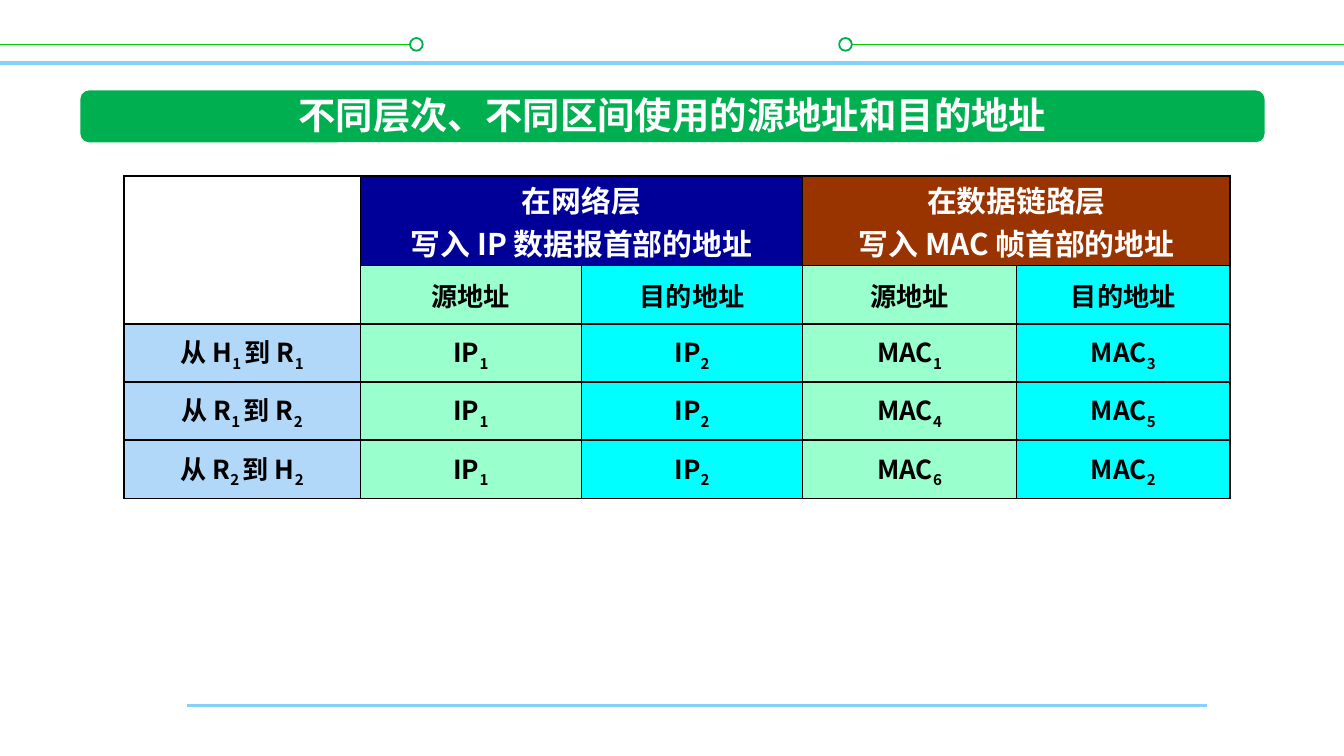
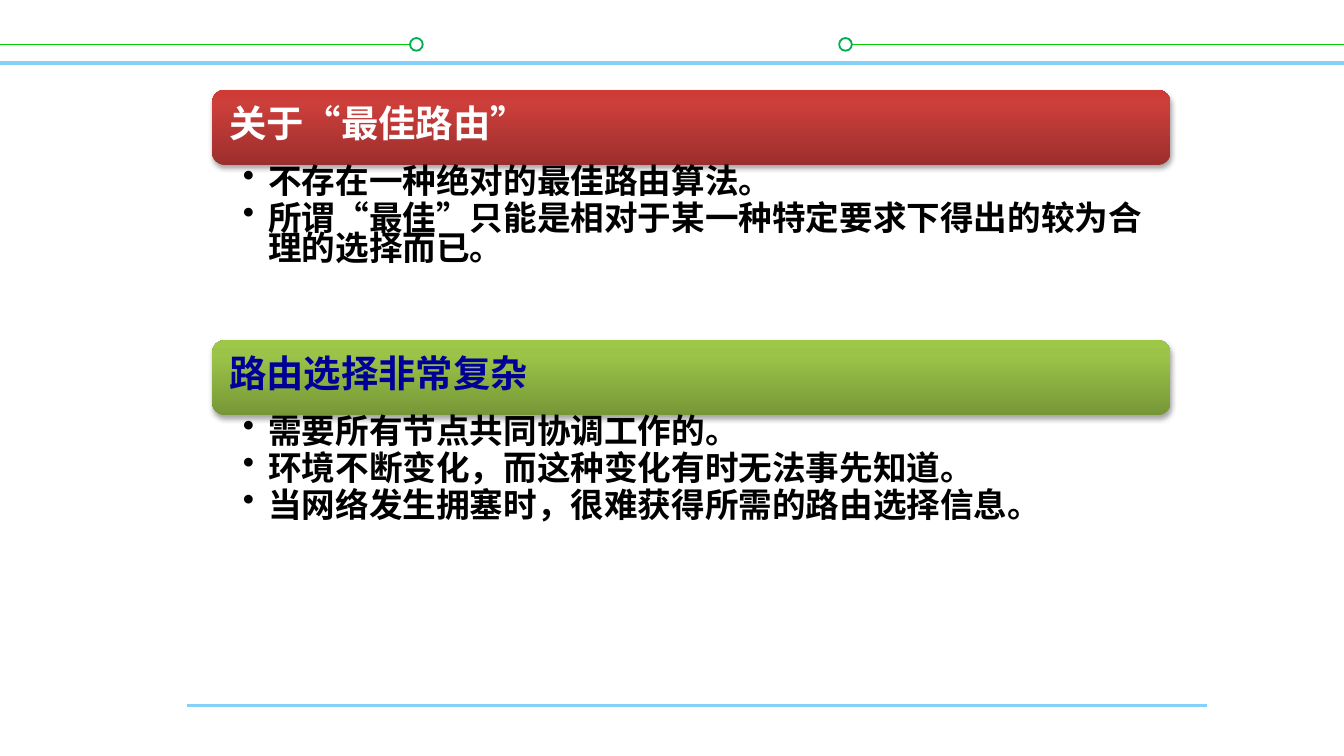
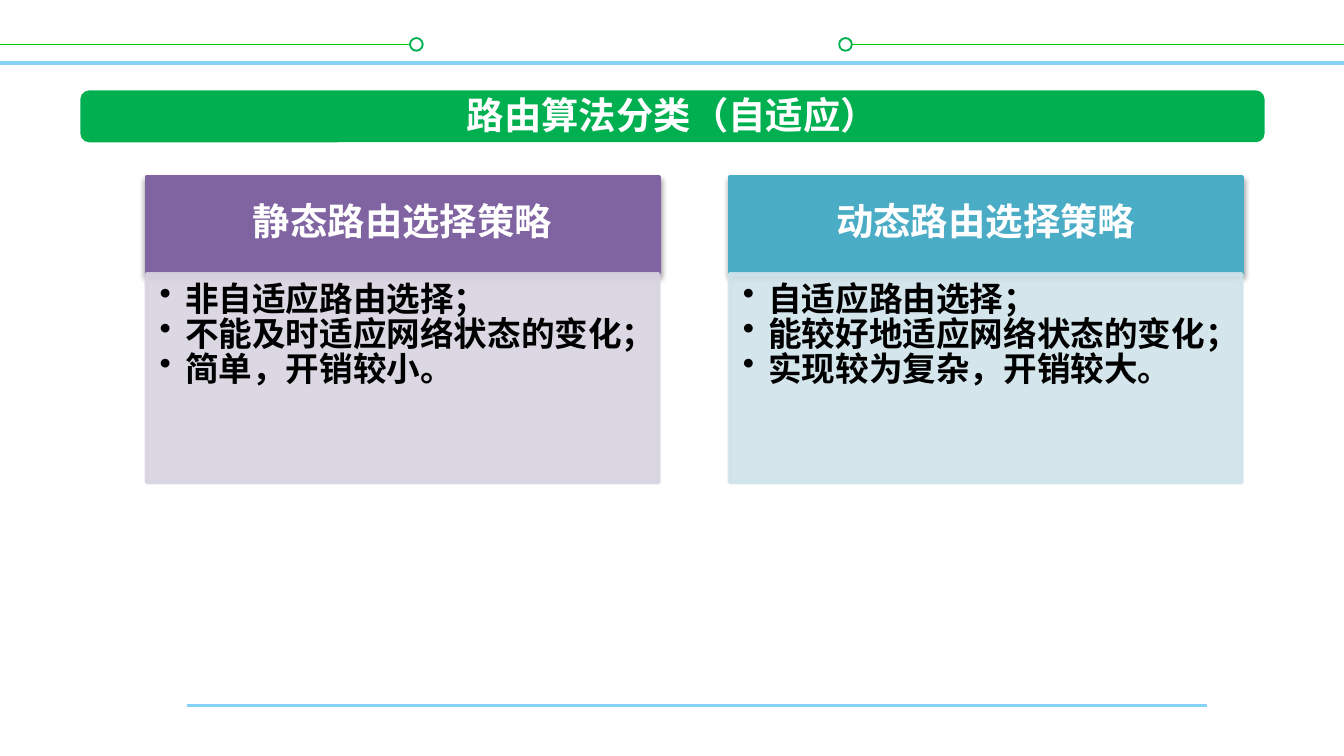
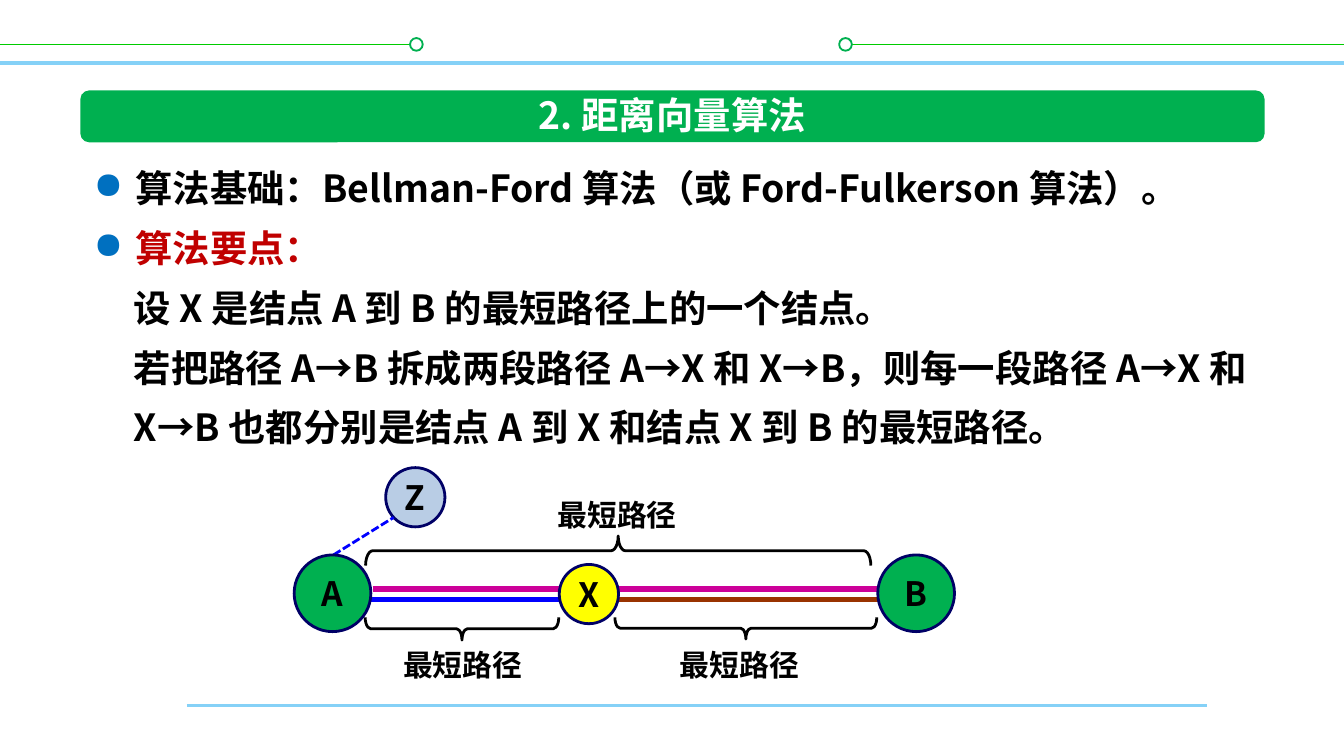
import copy
import dataclasses

import lxml.etree
import pptx
import pptx.dml.color
import pptx.enum.dml
import pptx.enum.shapes
import pptx.enum.text
import pptx.oxml.ns
import pptx.util

Cm = pptx.util.Cm
Pt = pptx.util.Pt
qn = pptx.oxml.ns.qn
SHAPES = pptx.enum.shapes.MSO_SHAPE
ALIGN = pptx.enum.text.PP_ALIGN
ANCHOR = pptx.enum.text.MSO_ANCHOR


@dataclasses.dataclass(frozen=True)
class Theme:
    font: str = "Noto Sans CJK SC"
    title_size: int = 20
    head_size: int = 16
    bullet_size: int = 18
    cell_size: int = 14
    tight: float = 0.75
    white: str = "FFFFFF"
    black: str = "000000"
    green: str = "00B050"
    lime: str = "00CC00"
    sky: str = "85D1F7"
    navy: str = "000099"
    outline: str = "000066"
    brown: str = "993300"
    mint: str = "99FFCC"
    cyan: str = "00FFFF"
    pale_blue: str = "B1D8F9"
    red: str = "C00000"
    marker: str = "0070C0"
    blue: str = "0000FF"
    magenta: str = "CC0099"
    yellow: str = "FFFF00"
    steel: str = "B9CDE5"
    red_fade: tuple = ("9C2F2D", "CB3E3A", "CE3B37")
    green_fade: tuple = ("779737", "9BC348", "9DC746")
    violet: str = "8064A2"
    violet_tint: str = "D8D3E0"
    teal: str = "4BACC6"
    teal_tint: str = "D0E3EA"


THEME = Theme()


def rgb(color):
    return pptx.dml.color.RGBColor.from_string(color)


def xml_child(parent, tag, **attributes):
    return lxml.etree.SubElement(parent, qn(tag), attributes)


def add_run(paragraph, text, size, color, subscript=False):
    run = paragraph.add_run()
    run.text = text
    run.font.size = Pt(size)
    run.font.bold = True
    run.font.name = THEME.font
    run.font.color.rgb = rgb(color)
    properties = run._r.get_or_add_rPr()
    properties.set("lang", "zh-CN")
    xml_child(properties, "a:ea", typeface=THEME.font)
    if subscript:
        properties.set("baseline", "-25000")


def next_paragraph(frame):
    first = frame.paragraphs[0]
    return frame.add_paragraph() if first.runs else first


def set_frame(frame, anchor=ANCHOR.MIDDLE, insets=(0, 0, 0, 0), wrap=True):
    """Insets run left, top, right, bottom, in centimetres."""
    frame.word_wrap = wrap
    frame.vertical_anchor = anchor
    (frame.margin_left, frame.margin_top,
     frame.margin_right, frame.margin_bottom) = map(Cm, insets)


def add_line_of_text(frame, text, size, color, align=ALIGN.CENTER, spacing=None):
    paragraph = next_paragraph(frame)
    paragraph.alignment = align
    paragraph.line_spacing = spacing
    add_run(paragraph, text, size, color)


def indent(paragraph, margin, hanging=0, bullet=None, bullet_color=None):
    properties = paragraph._p.get_or_add_pPr()
    properties.set("marL", str(Cm(margin)))
    properties.set("indent", str(-Cm(hanging)))
    if bullet_color:
        color = xml_child(properties, "a:buClr")
        xml_child(color, "a:srgbClr", val=bullet_color)
    if bullet:
        xml_child(properties, "a:buChar", char=bullet)


def add_bullets(frame, items, space_after):
    for item in items:
        paragraph = next_paragraph(frame)
        indent(paragraph, 0.48, 0.48, "•")
        paragraph.alignment = ALIGN.LEFT
        paragraph.line_spacing = THEME.tight
        paragraph.space_after = Pt(space_after)
        add_run(paragraph, item, THEME.bullet_size, THEME.black)


def add_block(slide, kind, box, fill=None, line=None, width=1):
    block = slide.shapes.add_shape(kind, *map(Cm, box))
    block.shadow.inherit = False
    if fill:
        block.fill.solid()
        block.fill.fore_color.rgb = rgb(fill)
    else:
        block.fill.background()
    if line:
        block.line.color.rgb = rgb(line)
        block.line.width = Pt(width)
    else:
        block.line.fill.background()
    return block


def fade(block, colors):
    """Fill with a gradient that runs from the bottom edge upwards."""
    block.fill.gradient()
    block.fill.gradient_angle = 90
    stop_list = next(block._element.spPr.iter(qn("a:gsLst")))
    stop_list.append(copy.deepcopy(stop_list[-1]))
    for stop, color, position in zip(block.fill.gradient_stops, colors, (0, 0.8, 1)):
        stop.color.rgb = rgb(color)
        stop.position = position


def make_translucent(block, percent):
    for color in block._element.spPr.iter(qn("a:srgbClr")):
        xml_child(color, "a:alpha", val=str(percent * 1000))


def cast_shadow(block, percent):
    effects = block._element.spPr.find(qn("a:effectLst"))
    shadow = xml_child(effects, "a:outerShdw", blurRad=str(Pt(3.1)),
                       dist=str(Pt(1.7)), dir="5400000", rotWithShape="0")
    color = xml_child(shadow, "a:srgbClr", val=THEME.black)
    xml_child(color, "a:alpha", val=str(percent * 1000))


def add_line(slide, start, end, color, width):
    line = slide.shapes.add_connector(
        pptx.enum.shapes.MSO_CONNECTOR.STRAIGHT, *map(Cm, start + end))
    line.line.color.rgb = rgb(color)
    line.line.width = Pt(width)
    xml_child(line._element.spPr, "a:effectLst")
    return line


def add_text_box(slide, box, **frame_options):
    frame = slide.shapes.add_textbox(*map(Cm, box)).text_frame
    set_frame(frame, **frame_options)
    return frame


def add_framed_slide(deck, title=None):
    """Start a slide with the shared rules and, if named, the green title band."""
    slide = deck.slides.add_slide(deck.slide_layouts[6])
    add_line(slide, (3.53, 13.34), (22.81, 13.34), THEME.sky, 1.5)
    add_line(slide, (0, 1.19), (25.4, 1.19), THEME.sky, 2)
    for start, end, ring in ((0, 7.87, 7.75), (15.88, 25.4, 15.86)):
        add_line(slide, (start, 0.84), (end, 0.84), THEME.lime, 1)
        add_block(slide, SHAPES.OVAL, (ring, 0.72, 0.24, 0.24),
                  THEME.white, THEME.green)
    if title:
        band = add_block(slide, SHAPES.ROUNDED_RECTANGLE,
                         (1.52, 1.71, 22.38, 0.98), THEME.green)
        set_frame(band.text_frame, insets=(0, 0, 0, 0.08))
        add_line_of_text(band.text_frame, title, THEME.title_size, THEME.white)
    return slide


def border_cell(cell):
    properties = cell._tc.get_or_add_tcPr()
    for side in ("a:lnL", "a:lnR", "a:lnT", "a:lnB"):
        edge = xml_child(properties, side, w=str(Pt(1)))
        fill = xml_child(edge, "a:solidFill")
        xml_child(fill, "a:srgbClr", val=THEME.black)


def style_cell(cell, fill):
    cell.vertical_anchor = ANCHOR.MIDDLE
    cell.margin_left = cell.margin_right = Cm(0.18)
    cell.margin_top = cell.margin_bottom = 0
    cell.fill.solid()
    cell.fill.fore_color.rgb = rgb(fill)


def write_subscripted(cell, marked):
    """Every second piece between bars is a subscript."""
    paragraph = cell.text_frame.paragraphs[0]
    paragraph.alignment = ALIGN.CENTER
    for position, piece in enumerate(marked.split("|")):
        add_run(paragraph, piece, THEME.cell_size, THEME.black, position % 2 == 1)


def add_address_table(slide):
    widths = (4.47, 4.18, 4.18, 4.04, 4.04)
    heights = (1.69, 1.1, 1.1, 1.1, 1.1)
    rows = (
        ("源地址", "目的地址", "源地址", "目的地址"),
        ("从 H|1 |到 R|1", "IP|1", "IP|2", "MAC|1", "MAC|3"),
        ("从 R|1 |到 R|2", "IP|1", "IP|2", "MAC|4", "MAC|5"),
        ("从 R|2 |到 H|2", "IP|1", "IP|2", "MAC|6", "MAC|2"),
    )
    layers = (
        (1, THEME.navy, ("在网络层", "写入 IP 数据报首部的地址")),
        (3, THEME.brown, ("在数据链路层", "写入 MAC 帧首部的地址")),
    )
    column_fills = (THEME.pale_blue,) + (THEME.mint, THEME.cyan) * 2
    table = slide.shapes.add_table(
        len(heights), len(widths), Cm(2.34), Cm(3.33),
        Cm(sum(widths)), Cm(sum(heights))).table
    table.first_row = table.horz_banding = False
    for column, width in zip(table.columns, widths):
        column.width = Cm(width)
    for row, height in zip(table.rows, heights):
        row.height = Cm(height)
    for cell in table.iter_cells():
        border_cell(cell)

    corner = table.cell(0, 0)
    corner.merge(table.cell(1, 0))
    corner.fill.background()
    for column, fill, lines in layers:
        cell = table.cell(0, column)
        cell.merge(table.cell(0, column + 1))
        style_cell(cell, fill)
        for line in lines:
            add_line_of_text(cell.text_frame, line, THEME.head_size, THEME.white)
    for row, texts in enumerate(rows, start=1):
        first_column = len(widths) - len(texts)
        for column, text in enumerate(texts, start=first_column):
            cell = table.cell(row, column)
            style_cell(cell, column_fills[column])
            write_subscripted(cell, text)


def add_topic(slide, top, heading, colors, heading_color, points):
    left, width, head_height = 4.01, 18.11, 1.42
    head = add_block(slide, SHAPES.ROUNDED_RECTANGLE, (left, top, width, head_height))
    fade(head, colors)
    cast_shadow(head, 35)
    set_frame(head.text_frame, insets=(0.25, 0.2, 0.25, 0.2))
    add_line_of_text(head.text_frame, heading, THEME.title_size, heading_color,
                     ALIGN.LEFT, THEME.tight)
    body = add_text_box(slide, (left, top + head_height, width, 3.4),
                        anchor=ANCHOR.TOP, insets=(0.58, 0.08, 0.36, 0.08))
    add_bullets(body, points, 3.6)


def add_strategy(slide, left, heading, color, tint, points):
    top, width, head_height = 3.35, 9.68, 1.83
    head = add_block(slide, SHAPES.RECTANGLE, (left, top, width, head_height),
                     color, color, 2)
    cast_shadow(head, 38)
    set_frame(head.text_frame, insets=(0.41, 0.23, 0.41, 0.23))
    add_line_of_text(head.text_frame, heading, THEME.title_size, THEME.white,
                     spacing=THEME.tight)
    panel = add_block(slide, SHAPES.RECTANGLE,
                      (left, top + head_height, width, 3.94), tint, tint, 2)
    make_translucent(panel, 90)
    set_frame(panel.text_frame, ANCHOR.TOP, (0.25, 0.25, 0.36, 0.41))
    add_bullets(panel.text_frame, points, 2.7)


def add_algorithm_text(slide):
    frame = add_text_box(slide, (1.52, 2.72, 22.38, 5.84), anchor=ANCHOR.TOP,
                         insets=(0.25, 0.13, 0.25, 0.13))
    lines = (
        ("算法基础：Bellman-Ford 算法（或 Ford-Fulkerson 算法）。", THEME.black, True),
        ("算法要点：", THEME.red, True),
        ("设 X 是结点 A 到 B 的最短路径上的一个结点。", THEME.black, False),
        ("若把路径 A→B 拆成两段路径 A→X 和 X→B，则每一段路径 A→X 和 X→B "
         "也都分别是结点 A 到 X 和结点 X 到 B 的最短路径。", THEME.black, False),
    )
    for text, color, bulleted in lines:
        paragraph = next_paragraph(frame)
        if bulleted:
            indent(paragraph, 0.79, 0.79, "●", THEME.marker)
        else:
            indent(paragraph, 0.76)
        paragraph.line_spacing = Pt(32)
        add_run(paragraph, text, THEME.title_size, color)


def add_node(slide, left, top, diameter, letter, fill):
    node = add_block(slide, SHAPES.OVAL, (left, top, diameter, diameter),
                     fill, THEME.outline, 1.5)
    set_frame(node.text_frame, wrap=False)
    add_line_of_text(node.text_frame, letter, THEME.bullet_size, THEME.black)


def add_brace(slide, left, top, length, depth, rotation):
    """Lay a right brace on its side so that it covers the given span."""
    shift = (length - depth) / 2
    brace = add_block(slide, SHAPES.RIGHT_BRACE,
                      (left + shift, top - shift, depth, length),
                      line=THEME.black, width=1.5)
    brace.rotation = rotation
    brace.adjustments[0] = 0.24


def add_segment(slide, start, end, level, color, brace, label):
    """Draw one shortest path with its brace and label."""
    add_line(slide, (start, level), (end, level), color, 3)
    add_brace(slide, *brace)
    frame = add_text_box(slide, label + (2.79, 0.94), anchor=ANCHOR.TOP,
                         insets=(0.25, 0.13, 0.25, 0.13), wrap=False)
    add_line_of_text(frame, "最短路径", THEME.head_size, THEME.black, ALIGN.LEFT)


def add_path_diagram(slide):
    up, down = 270, 90
    add_segment(slide, 7.04, 16.59, 11.13, THEME.magenta,
                (6.91, 10.13, 9.55, 0.56, up), (10.29, 9.25))
    add_node(slide, 7.29, 8.84, 1.12, "Z", THEME.steel)
    detour = add_line(slide, (6.3, 10.49), (7.44, 9.78), THEME.blue, 1.5)
    detour.line.dash_style = pptx.enum.dml.MSO_LINE.SQUARE_DOT
    add_segment(slide, 6.86, 10.69, 11.33, THEME.blue,
                (6.9, 11.67, 3.66, 0.43, down), (7.37, 12.09))
    add_segment(slide, 11.33, 16.81, 11.33, THEME.brown,
                (11.62, 11.67, 4.95, 0.41, down), (12.6, 12.09))
    add_node(slide, 5.56, 10.49, 1.45, "A", THEME.green)
    add_node(slide, 16.59, 10.49, 1.45, "B", THEME.green)
    add_node(slide, 10.57, 10.67, 1.12, "X", THEME.yellow)


def main():
    deck = pptx.Presentation()
    deck.slide_width, deck.slide_height = Cm(25.4), Cm(14.29)

    addresses = add_framed_slide(deck, "不同层次、不同区间使用的源地址和目的地址")
    add_address_table(addresses)

    routing = add_framed_slide(deck)
    add_topic(routing, 1.7, "关于“最佳路由”", THEME.red_fade, THEME.white, (
        "不存在一种绝对的最佳路由算法。",
        "所谓“最佳”只能是相对于某一种特定要求下得出的较为合理的选择而已。"))
    add_topic(routing, 6.43, "路由选择非常复杂", THEME.green_fade, THEME.navy, (
        "需要所有节点共同协调工作的。",
        "环境不断变化，而这种变化有时无法事先知道。",
        "当网络发生拥塞时，很难获得所需的路由选择信息。"))

    strategies = add_framed_slide(deck, "路由算法分类（自适应）")
    add_strategy(strategies, 2.77, "静态路由选择策略", THEME.violet, THEME.violet_tint, (
        "非自适应路由选择；",
        "不能及时适应网络状态的变化；",
        "简单，开销较小。"))
    add_strategy(strategies, 13.79, "动态路由选择策略", THEME.teal, THEME.teal_tint, (
        "自适应路由选择；",
        "能较好地适应网络状态的变化；",
        "实现较为复杂，开销较大。"))

    vectors = add_framed_slide(deck, "2. 距离向量算法")
    add_algorithm_text(vectors)
    add_path_diagram(vectors)

    deck.save("out.pptx")


if __name__ == "__main__":
    main()
